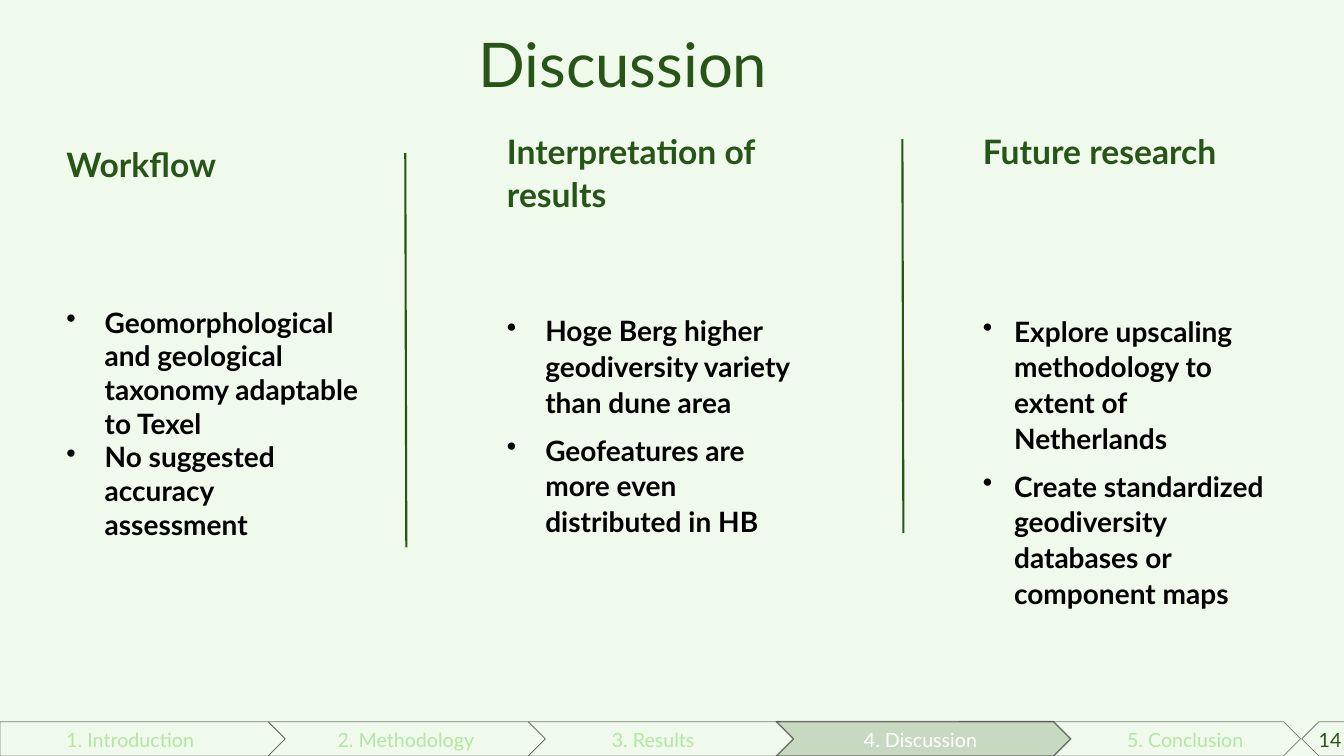
"""Build the discussion slide with three columns and a chapter bar."""
from dataclasses import dataclass

from lxml.etree import SubElement
from pptx import Presentation
from pptx.dml.color import RGBColor
from pptx.enum.shapes import MSO_CONNECTOR, MSO_SHAPE
from pptx.enum.text import MSO_ANCHOR, MSO_AUTO_SIZE, PP_ALIGN
from pptx.oxml.ns import qn
from pptx.slide import Slide
from pptx.text.text import TextFrame
from pptx.util import Emu, Pt


@dataclass(frozen=True)
class Theme:
    font: str = "Lato"
    background: str = "F0FAEC"
    dark_green: str = "275417"
    pale_green: str = "B4E5A2"
    active_fill: str = "C8D9C2"
    white: str = "FFFFFF"
    black: str = "000000"
    title_size: int = 44
    heading_size: int = 24
    body_size: int = 20
    label_size: int = 14


@dataclass(frozen=True)
class Column:
    left: int
    top: int
    height: int
    heading: str
    points: tuple[str, ...]
    gap: float
    indent: int = 38
    spacing: float = 1.07
    after: int = 8


@dataclass(frozen=True)
class Arrow:
    left: int
    width: int
    preset: MSO_SHAPE = MSO_SHAPE.CHEVRON
    fill: str = Theme.background
    weight: float = 0.5
    rotation: int = 0


@dataclass(frozen=True)
class Label:
    left: int
    width: int
    text: str
    color: str = Theme.pale_green


THEME = Theme()
COLUMN_WIDTH = 312
BAR_TOP, BAR_HEIGHT = 716, 34
COLUMNS = (
    Column(56, 138, 468, "Workflow",
           ("Geomorphological and geological taxonomy adaptable to Texel",
            "No suggested accuracy assessment"), 86.4, spacing=1.0, after=0),
    Column(493, 122, 576, "Interpretation of results",
           ("Hoge Berg higher geodiversity variety than dune area",
            "Geofeatures are more even distributed in HB"), 69.6),
    Column(965, 122, 529, "Future research",
           ("Explore upscaling methodology to extent of Netherlands",
            "Create standardized geodiversity databases or component maps"),
           100.4, indent=31),
)
DIVIDERS = ((402, 152), (895, 138))
DIVIDER_DRIFT, DIVIDER_HEIGHT = 1, 391
ARROWS = (
    Arrow(0, 283, MSO_SHAPE.PENTAGON),
    Arrow(266, 275),
    Arrow(524, 267),
    Arrow(951, 339),
    Arrow(1291, 44, MSO_SHAPE.PENTAGON, rotation=180),
    Arrow(770, 292, fill=THEME.active_fill, weight=1),
)
LABELS = (
    Label(56, 209, "1. Introduction"),
    Label(325, 200, "2. Methodology"),
    Label(597, 180, "3. Results"),
    Label(847, 238, "4. Discussion", THEME.white),
    Label(1108, 169, "5. Conclusion"),
    Label(1298, 49, "14", THEME.dark_green),
)


def px(length: int) -> Emu:
    """Turn px into EMU."""
    return Emu(length * 9144)


def write(frame: TextFrame, text: str, *, size: int, color: str,
          bold: bool = False, spacing: float = 1.0, before: float = 0,
          after: float = 0, indent: int = 0,
          align: PP_ALIGN = PP_ALIGN.LEFT) -> None:
    """Write one paragraph, bulleted when it has an indent."""
    first = frame.paragraphs[0]
    paragraph = frame.add_paragraph() if first.runs else first
    paragraph.alignment = align
    paragraph.line_spacing = spacing
    paragraph.space_before = Pt(before)
    paragraph.space_after = Pt(after)
    if indent:
        properties = paragraph._p.get_or_add_pPr()
        properties.set("marL", str(px(indent)))
        properties.set("indent", str(-px(indent)))
        SubElement(properties, qn("a:buChar")).set("char", "•")
    run = paragraph.add_run()
    run.text = text
    run.font.name = THEME.font
    run.font.size = Pt(size)
    run.font.bold = bold
    run.font.color.rgb = RGBColor.from_string(color)


def add_frame(slide: Slide, left: int, top: int, width: int,
              height: int) -> TextFrame:
    """Add a wrapping text box."""
    box = slide.shapes.add_textbox(px(left), px(top), px(width), px(height))
    box.text_frame.word_wrap = True
    return box.text_frame


def add_title(slide: Slide, text: str) -> None:
    """Place and fill the title."""
    title = slide.shapes.title
    title.left, title.top = px(118), px(-156)
    title.width, title.height = px(1000), px(261)
    frame = title.text_frame
    frame.auto_size = MSO_AUTO_SIZE.NONE
    frame.vertical_anchor = MSO_ANCHOR.BOTTOM
    write(frame, text, size=THEME.title_size, color=THEME.dark_green,
          spacing=0.9, align=PP_ALIGN.CENTER)


def add_column(slide: Slide, column: Column) -> None:
    """Add a heading with its bullet points."""
    frame = add_frame(slide, column.left, column.top, COLUMN_WIDTH,
                      column.height)
    write(frame, column.heading, size=THEME.heading_size,
          color=THEME.dark_green, bold=True, spacing=column.spacing)
    for index, point in enumerate(column.points):
        write(frame, point, size=THEME.body_size, color=THEME.black,
              bold=True, spacing=column.spacing, after=column.after,
              before=0 if index else column.gap, indent=column.indent)


def add_divider(slide: Slide, left: int, top: int) -> None:
    """Add a line between two columns."""
    divider = slide.shapes.add_connector(
        MSO_CONNECTOR.STRAIGHT, px(left), px(top),
        px(left + DIVIDER_DRIFT), px(top + DIVIDER_HEIGHT))
    divider.line.color.rgb = RGBColor.from_string(THEME.dark_green)
    divider.line.width = Pt(1.5)
    SubElement(divider._element.spPr, qn("a:effectLst"))


def add_arrow(slide: Slide, arrow: Arrow) -> None:
    """Add one step of the chapter bar."""
    step = slide.shapes.add_shape(arrow.preset, px(arrow.left), px(BAR_TOP),
                                  px(arrow.width), px(BAR_HEIGHT))
    step.rotation = arrow.rotation
    step.shadow.inherit = False
    step.fill.solid()
    step.fill.fore_color.rgb = RGBColor.from_string(arrow.fill)
    step.line.width = Pt(arrow.weight)
    step.line.color.rgb = RGBColor.from_string(THEME.black)
    outline = step._element.spPr.find(qn("a:ln"))
    color = outline.find(".//" + qn("a:srgbClr"))
    SubElement(color, qn("a:alpha")).set("val", "50000")


def add_label(slide: Slide, label: Label) -> None:
    """Add one text on the chapter bar."""
    frame = add_frame(slide, label.left, BAR_TOP + 1, label.width, BAR_HEIGHT)
    write(frame, label.text, size=THEME.label_size, color=label.color)


def main() -> None:
    """Build and save the slide."""
    deck = Presentation()
    deck.slide_width, deck.slide_height = px(1333), px(750)
    slide = deck.slides.add_slide(deck.slide_layouts[5])
    slide.background.fill.solid()
    slide.background.fill.fore_color.rgb = RGBColor.from_string(
        THEME.background)
    add_title(slide, "Discussion")
    for column in COLUMNS:
        add_column(slide, column)
    for left, top in DIVIDERS:
        add_divider(slide, left, top)
    for arrow in ARROWS:
        add_arrow(slide, arrow)
    for label in LABELS:
        add_label(slide, label)
    deck.save("out.pptx")


if __name__ == "__main__":
    main()
